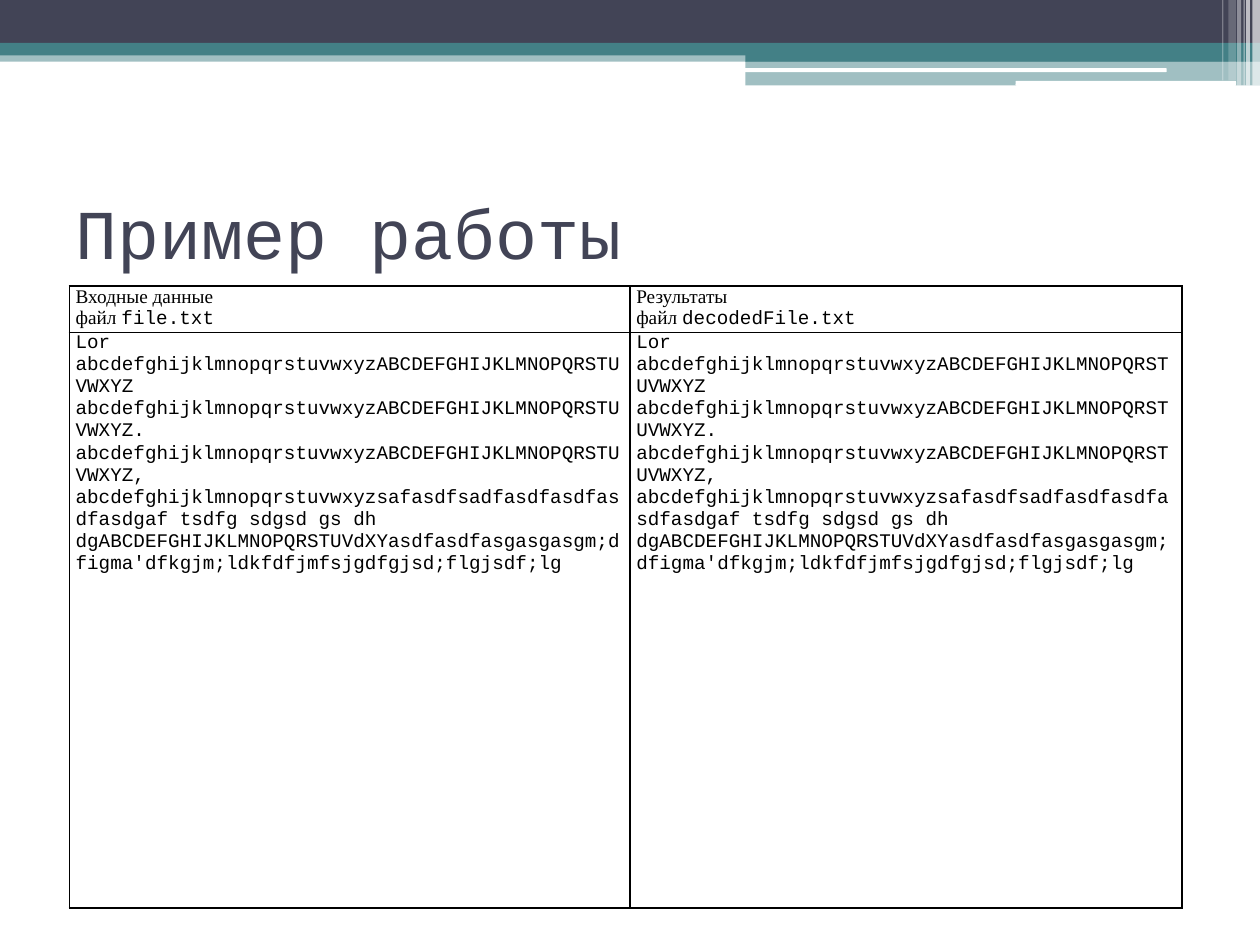
"""Build a slide with a decorated header, a title and an input/output table."""
from dataclasses import dataclass

import lxml.etree
import pptx
import pptx.dml.color
import pptx.enum.shapes
import pptx.enum.text
import pptx.oxml.ns
import pptx.shapes.autoshape
import pptx.slide
import pptx.table
import pptx.text.text
import pptx.util

Pt = pptx.util.Pt
RGBColor = pptx.dml.color.RGBColor
qn = pptx.oxml.ns.qn

NAVY = RGBColor(0x42, 0x44, 0x56)
TEAL = RGBColor(0x43, 0x80, 0x86)
WHITE = RGBColor(0xFF, 0xFF, 0xFF)
BLACK = RGBColor(0, 0, 0)
MONOSPACE = "Courier New"
SERIF = "Times New Roman"
BODY_SIZE = 11
SAMPLE_TEXT = (
    "Lor abcdefghijklmnopqrstuvwxyzABCDEFGHIJKLMNOPQRSTUVWXYZ "
    "abcdefghijklmnopqrstuvwxyzABCDEFGHIJKLMNOPQRSTUVWXYZ. "
    "abcdefghijklmnopqrstuvwxyzABCDEFGHIJKLMNOPQRSTUVWXYZ, "
    "abcdefghijklmnopqrstuvwxyzsafasdfsadfasdfasdfasdfasdgaf tsdfg sdgsd gs dh "
    "dgABCDEFGHIJKLMNOPQRSTUVdXYasdfasdfasgasgasgm;"
    "dfigma'dfkgjm;ldkfdfjmfsjgdfgjsd;flgjsdf;lg"
)


@dataclass(frozen=True)
class Bar:
    """A filled header bar, measured in points, with opacity in percent."""

    left: float
    top: float
    width: float
    height: float
    color: RGBColor
    opacity: int = 100
    rounded: bool = False


@dataclass(frozen=True)
class Column:
    """A table column with its heading and the file it shows."""

    width: float
    heading: str
    file_name: str


BARS = [
    Bar(0, 28.8, 720, 6.5, TEAL, 50),
    Bar(0, 0, 720, 24.5, NAVY),
    Bar(0, 24.5, 720, 7.2, TEAL),
    Bar(426, 28, 294, 7.2, TEAL),
    Bar(426, 34.9, 294, 14, TEAL, 50),
    Bar(425.5, 39, 241.2, 2.2, WHITE, rounded=True),
    Bar(580.3, 46.2, 126, 2.8, WHITE, rounded=True),
    Bar(715.7, 0, 4.3, 49, WHITE, 65),
    Bar(712.1, 0, 2.2, 49, WHITE, 65),
    Bar(710.6, 0, 0.7, 49, WHITE, 60),
    Bar(707, 0, 2.2, 49, WHITE, 40),
    Bar(702, 0, 4.3, 46, WHITE, 20),
    Bar(698.4, 0, 0.7, 46, WHITE, 30),
]
COLUMNS = [
    Column(320.4, "Входные данные", "file.txt"),
    Column(315.4, "Результаты", "decodedFile.txt"),
]
ROW_HEIGHTS = [26.6, 329]


def add_bar(slide: pptx.slide.Slide, bar: Bar) -> None:
    """Draw one header bar."""
    kinds = pptx.enum.shapes.MSO_SHAPE
    shape = slide.shapes.add_shape(
        kinds.ROUNDED_RECTANGLE if bar.rounded else kinds.RECTANGLE,
        Pt(bar.left), Pt(bar.top), Pt(bar.width), Pt(bar.height),
    )
    shape.shadow.inherit = False
    shape.line.fill.background()
    shape.fill.solid()
    shape.fill.fore_color.rgb = bar.color
    if bar.opacity < 100:
        color = shape.fill._xPr.find(f".//{qn('a:srgbClr')}")
        lxml.etree.SubElement(color, qn("a:alpha"), val=str(bar.opacity * 1000))


def format_run(run: pptx.text.text._Run, font_name: str, size: float, color: RGBColor) -> None:
    """Set the font, size and colour of a run."""
    run.font.name = font_name
    run.font.size = Pt(size)
    run.font.color.rgb = color


def add_title(slide: pptx.slide.Slide, text: str) -> None:
    """Add the slide title."""
    shape = slide.shapes.add_textbox(Pt(36), Pt(90), Pt(648), Pt(84.2))
    text_frame = shape.text_frame
    text_frame.word_wrap = True
    text_frame.vertical_anchor = pptx.enum.text.MSO_ANCHOR.MIDDLE
    text_frame.text = text
    format_run(text_frame.paragraphs[0].runs[0], MONOSPACE, 40, NAVY)


def style_cell(cell: pptx.table._Cell) -> None:
    """Give a cell black borders, no fill and narrow margins."""
    cell.margin_left = cell.margin_right = Pt(3.6)
    cell.margin_top = cell.margin_bottom = Pt(0)
    properties = cell._tc.get_or_add_tcPr()
    for side in ("lnL", "lnR", "lnT", "lnB"):
        line = lxml.etree.SubElement(properties, qn(f"a:{side}"), w=str(Pt(1)))
        fill = lxml.etree.SubElement(line, qn("a:solidFill"))
        lxml.etree.SubElement(fill, qn("a:srgbClr"), val=str(BLACK))
    cell.fill.background()


def fill_heading(cell: pptx.table._Cell, column: Column) -> None:
    """Write the heading and file name of a column."""
    cell.text_frame.text = f"{column.heading}\nфайл "
    heading, file_line = cell.text_frame.paragraphs
    file_line.add_run().text = column.file_name
    for run, font_name in zip((*heading.runs, *file_line.runs), (SERIF, SERIF, MONOSPACE)):
        format_run(run, font_name, BODY_SIZE, BLACK)


def add_table(slide: pptx.slide.Slide) -> None:
    """Add the table that compares the input with the results."""
    table = slide.shapes.add_table(
        len(ROW_HEIGHTS), len(COLUMNS), Pt(39.6), Pt(163.4),
        Pt(sum(column.width for column in COLUMNS)), Pt(sum(ROW_HEIGHTS)),
    ).table
    table.first_row = False
    table.horz_banding = False
    for row, height in zip(table.rows, ROW_HEIGHTS):
        row.height = Pt(height)
    for index, column in enumerate(COLUMNS):
        table.columns[index].width = Pt(column.width)
        fill_heading(table.cell(0, index), column)
        body = table.cell(1, index).text_frame
        body.text = SAMPLE_TEXT
        format_run(body.paragraphs[0].runs[0], MONOSPACE, BODY_SIZE, BLACK)
    for cell in table.iter_cells():
        style_cell(cell)


def main() -> None:
    """Create the presentation and save it."""
    presentation = pptx.Presentation()
    presentation.slide_width = Pt(720)
    presentation.slide_height = Pt(540)
    slide = presentation.slides.add_slide(presentation.slide_layouts[6])
    for bar in BARS:
        add_bar(slide, bar)
    add_title(slide, "Пример работы")
    add_table(slide)
    presentation.save("out.pptx")


if __name__ == "__main__":
    main()
